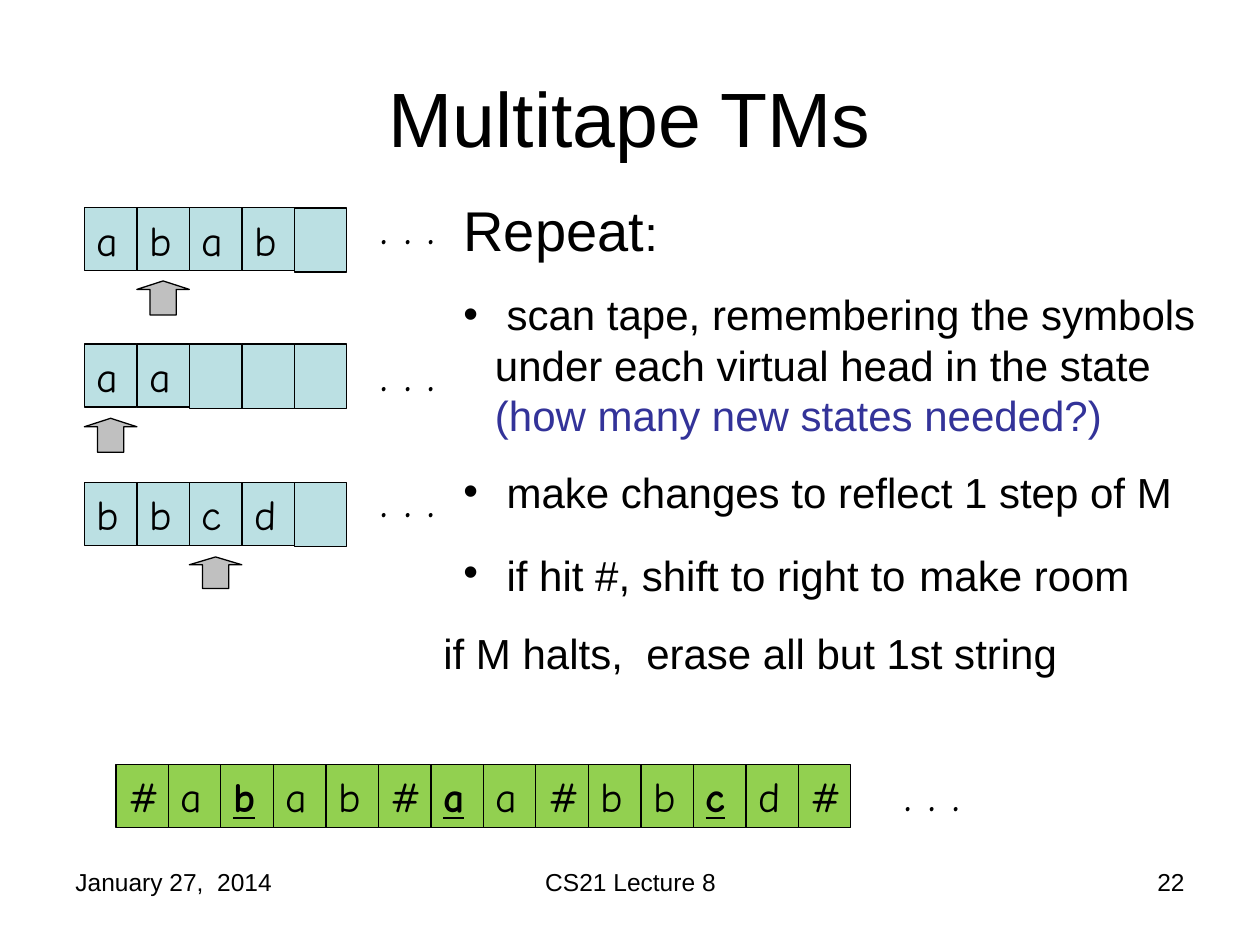
from lxml import etree
from pptx import Presentation
from pptx.dml.color import RGBColor
from pptx.enum.shapes import MSO_SHAPE
from pptx.enum.text import MSO_ANCHOR, PP_ALIGN
from pptx.oxml.ns import qn
from pptx.util import Inches, Pt

RECT, ARROW = MSO_SHAPE.RECTANGLE, MSO_SHAPE.UP_ARROW
TOP, MIDDLE = MSO_ANCHOR.TOP, MSO_ANCHOR.MIDDLE
LEFT, CENTER, RIGHT = PP_ALIGN.LEFT, PP_ALIGN.CENTER, PP_ALIGN.RIGHT

BLACK = RGBColor(0x00, 0x00, 0x00)
BLUE = RGBColor(0x33, 0x33, 0x99)
AQUA = RGBColor(0xBB, 0xE0, 0xE3)
GREEN = RGBColor(0x92, 0xD0, 0x50)
GRAY = RGBColor(0xC0, 0xC0, 0xC0)

SANS, HAND = "Arial", "Comic Neue"
CELL = 5 / 12  # width of one tape cell


def add_run(para, text, size, font=SANS, color=BLACK, marked=False):
    run = para.add_run()
    run.text = text
    run.font.size = Pt(size)
    run.font.name = font
    run.font.color.rgb = color
    if marked:
        run.font.bold = run.font.underline = True


def add_box(slide, x, y, w, h, anchor=TOP):
    box = slide.shapes.add_textbox(Inches(x), Inches(y), Inches(w), Inches(h))
    frame = box.text_frame
    frame.word_wrap = True
    frame.vertical_anchor = anchor
    return frame


def add_line(slide, x, y, w, h, text, size, font=SANS, align=LEFT, anchor=TOP):
    para = add_box(slide, x, y, w, h, anchor).paragraphs[0]
    para.alignment = align
    add_run(para, text, size, font)


def add_part(slide, kind, x, y, w, h, fill):
    part = slide.shapes.add_shape(kind, Inches(x), Inches(y), Inches(w), Inches(h))
    part.shadow.inherit = False
    part.fill.solid()
    part.fill.fore_color.rgb = fill
    part.line.color.rgb = BLACK
    part.line.width = Pt(0.75)
    return part


def add_tape(slide, x, y, symbols, fill, marks=()):
    """Row of cells; a blank symbol leaves its cell empty."""
    for i, symbol in enumerate(symbols):
        blank = symbol == " "
        cell = add_part(slide, RECT, x + i * CELL, y, CELL, 0.51 if blank else 0.5, fill)
        if blank:
            continue
        frame = cell.text_frame
        frame.word_wrap = True
        frame.vertical_anchor = TOP
        para = frame.paragraphs[0]
        para.alignment = LEFT
        add_run(para, symbol, 24, HAND, marked=i in marks)


def add_head(slide, x, y, index, height):
    """Arrow below the cell that the tape head reads."""
    head = add_part(slide, ARROW, x + index * CELL, y, CELL, height, GRAY)
    head.adjustments[0] = 0.5
    head.adjustments[1] = 0.25


def add_dots(slide, x, y, w):
    add_line(slide, x, y, w, 0.57, ". . .", 28, HAND)


def set_indent(para, margin, first=0, bullet=False):
    props = para._p.get_or_add_pPr()
    props.set("marL", str(Inches(margin)))
    props.set("indent", str(Inches(first)))
    if bullet:
        font = etree.SubElement(props, qn("a:buFont"))
        font.set("typeface", SANS)
        etree.SubElement(props, qn("a:buChar")).set("char", "•")


def add_steps(slide, x, y, w, h):
    frame = add_box(slide, x, y, w, h)
    intro = frame.paragraphs[0]
    set_indent(intro, 0.25)
    add_run(intro, "Repeat", 32)
    add_run(intro, ":", 28)

    bullets = [
        [(" scan tape, remembering the symbols under each virtual head in the state ", 24, BLACK),
         ("(how many new states needed?)", 24, BLUE)],
        [(" make changes to reflect 1 step of M", 24, BLACK)],
        [(" if hit #, shift to right to", 24, BLACK), (" ", 28, BLACK),
         ("make room", 24, BLACK)],
    ]
    for runs in bullets:
        para = frame.add_paragraph()
        set_indent(para, 0.5, -0.25, bullet=True)
        para.space_before = Pt(15)
        for text, size, color in runs:
            add_run(para, text, size, color=color)

    last = frame.add_paragraph()
    set_indent(last, 0.09)
    last.space_before = Pt(15)
    add_run(last, "if M halts,  erase all but 1st string", 24)


def add_tapes(slide, x):
    # symbols, tape top, head cell, head top, head height, dots top
    tapes = [
        ("abab ", 1.65, 1, 2.23, 0.27, 1.5),
        ("aa   ", 2.73, 0, 3.32, 0.27, 2.67),
        ("bbcd ", 3.83, 2, 4.42, 0.25, 3.67),
    ]
    for symbols, top, index, below, height, dots in tapes:
        add_head(slide, x, below, index, height)
        add_tape(slide, x, top, symbols, AQUA)
        add_dots(slide, x + 2.25, dots, 1.58)


def add_footer(slide, y, h):
    add_line(slide, 0.5, y, 2.33, h, "January 27,  2014", 14)
    add_line(slide, 3.42, y, 3.17, h, "CS21 Lecture 8", 14, align=CENTER)
    add_line(slide, 7.17, y, 2.33, h, "22", 14, align=RIGHT)


def main():
    deck = Presentation()
    deck.slide_width, deck.slide_height = Inches(10), Inches(7.5)
    slide = deck.slides.add_slide(deck.slide_layouts[6])

    add_footer(slide, 6.83, 0.52)
    add_line(slide, 0.5, 0.3, 9, 1.25, "Multitape TMs", 44, align=CENTER, anchor=MIDDLE)
    # Separate tapes, then the single tape that holds them all
    add_tapes(slide, 0.67)
    add_tape(slide, 0.92, 6.07, "#abab#aa#bbcd#", GREEN, marks=(2, 6, 11))
    add_dots(slide, 7.08, 6, 0.92)
    add_steps(slide, 3.33, 1.5, 6.42, 3.94)

    deck.save("out.pptx")


if __name__ == "__main__":
    main()
